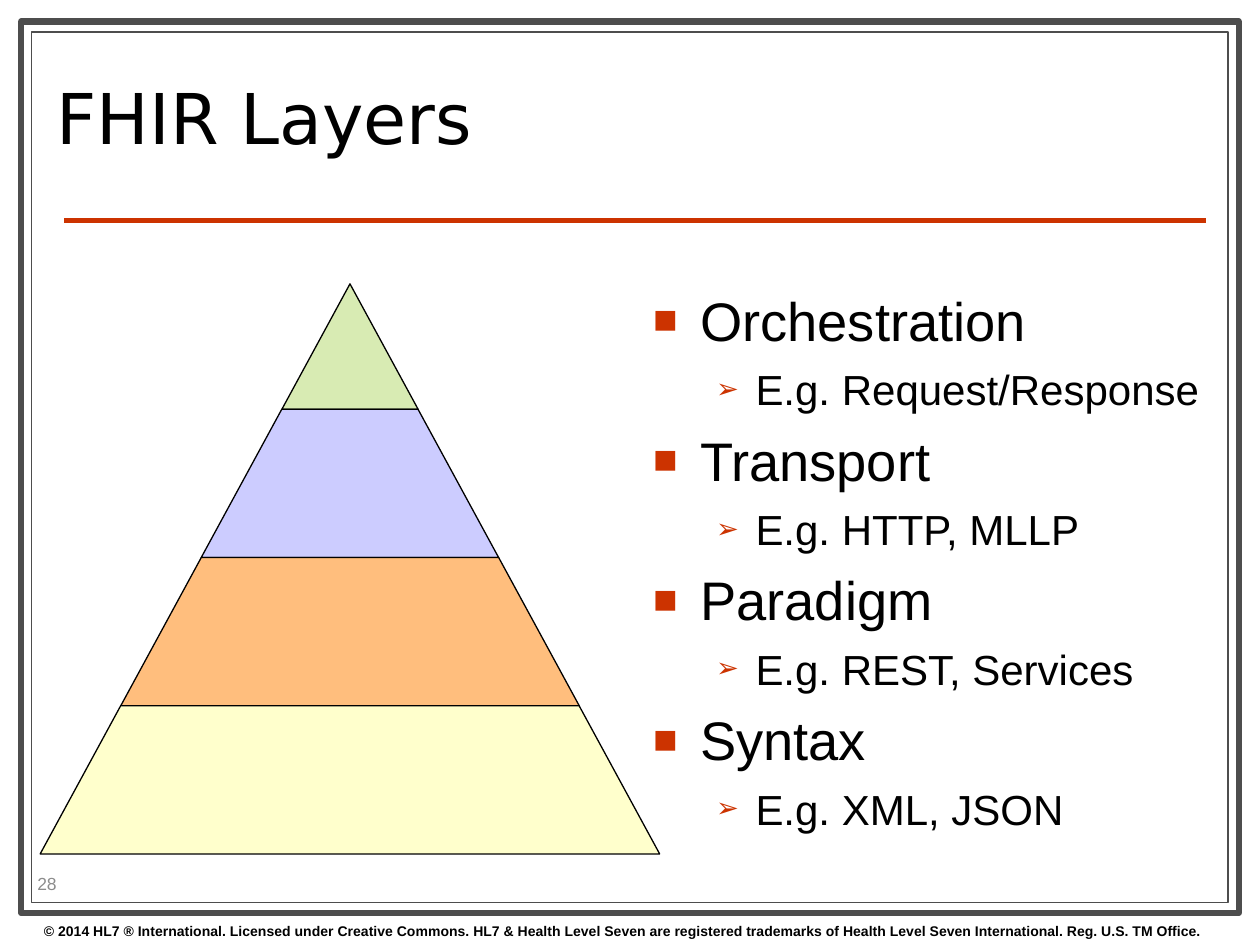
from itertools import pairwise

from lxml.etree import SubElement
from pptx import Presentation
from pptx.dml.color import RGBColor
from pptx.enum.shapes import MSO_CONNECTOR as LINK, MSO_SHAPE as SHAPE
from pptx.enum.text import MSO_ANCHOR as ANCHOR, MSO_AUTO_SIZE as FIT, PP_ALIGN as ALIGN
from pptx.oxml.ns import qn
from pptx.util import Pt

DARK, RED, BLACK = "4D4D4D", "CC3300", "000000"
LEGAL = ("© 2014 HL7 ® International. Licensed under Creative Commons. "
         "HL7 & Health Level Seven are registered trademarks of "
         "Health Level Seven International. Reg. U.S. TM Office.")
LAYERS = [("Orchestration", "E.g. Request/Response"),
          ("Transport", "E.g. HTTP, MLLP"),
          ("Paradigm", "E.g. REST, Services"),
          ("Syntax", "E.g. XML, JSON")]
# Per list level: bullet, bullet size %, left margin, indent, font size, space before
LEVELS = [("■", 75, 27, -27, 31, 7.4), ("➢", 65, 58.5, -22.5, 24, 6.5)]
FILLS = ["D8EBB3", "CCCCFF", "FFBE7D", "FFFFCC"]
CUTS = [0, 0.22, 0.48, 0.74, 1]  # layer edges as shares of the height


def paint(part, code):
    """Colour a fill or a font."""
    if hasattr(part, "solid"):
        part.solid()
        part.fore_color.rgb = RGBColor.from_string(code)
    else:
        part.color.rgb = RGBColor.from_string(code)


def style(para, size, code=BLACK, face="Arial", bold=False):
    font = para.font
    font.size, font.name, font.bold = Pt(size), face, bold
    paint(font, code)


def stroke(shape, code, width):
    paint(shape.line.fill, code)
    shape.line.width = Pt(width)


def place(shape, box):
    shape.left, shape.top, shape.width, shape.height = map(Pt, box)


def bullet(para, mark, size, left, indent):
    props = para._p.get_or_add_pPr()
    props.set("marL", str(Pt(left)))
    props.set("indent", str(Pt(indent)))
    color = SubElement(props, qn("a:buClr"))
    SubElement(color, qn("a:srgbClr"), val=RED)
    SubElement(props, qn("a:buSzPct"), val=str(size * 1000))
    SubElement(props, qn("a:buFont"), typeface="Arial")
    SubElement(props, qn("a:buChar"), char=mark)


def label(slide, box, text, size, code, bold=False, wrap=True):
    shape = slide.shapes.add_textbox(*map(Pt, box))
    frame = shape.text_frame
    frame.word_wrap = wrap
    frame.vertical_anchor = ANCHOR.MIDDLE
    frame.text = text
    style(frame.paragraphs[0], size, code, bold=bold)


def add_frame(slide, box):
    """Double border around the slide, with the rule under the title."""
    x, y, w, h = box
    for gap, width in [(0, 3.5), (6, 0.75)]:
        area = x + gap, y + gap, w - 2 * gap, h - 2 * gap
        edge = slide.shapes.add_shape(SHAPE.RECTANGLE, *map(Pt, area))
        edge.shadow.inherit = False
        edge.fill.background()
        stroke(edge, DARK, width)
    ends = x + 24.4, y + 113.7, x + w - 18.4, y + 113.7
    rule = slide.shapes.add_connector(LINK.STRAIGHT, *map(Pt, ends))
    SubElement(rule._element.spPr, qn("a:effectLst"))
    stroke(rule, RED, 3)


def add_title(slide, box, text):
    title = slide.shapes.title
    place(title, box)
    frame = title.text_frame
    frame.text, frame.auto_size = text, FIT.NONE
    frame.vertical_anchor = ANCHOR.MIDDLE
    para = frame.paragraphs[0]
    para.alignment, para.line_spacing = ALIGN.LEFT, 0.8
    style(para, 40, face="DejaVu Sans")


def add_list(slide, box):
    body = slide.placeholders[1]
    place(body, box)
    frame = body.text_frame
    frame.auto_size, frame.margin_top = FIT.NONE, Pt(7)
    frame.text = "\n".join(text for pair in LAYERS for text in pair)
    for i, para in enumerate(frame.paragraphs):
        para.level = i % 2
        *marks, size, gap = LEVELS[para.level]
        para.space_before = Pt(gap if i else 0)
        bullet(para, *marks)
        style(para, size)


def add_pyramid(slide, box):
    """Slices of one triangle, from the tip down."""
    x, y, w, h = box
    mid = x + w / 2
    group = slide.shapes.add_group_shape()
    for (top, low), code in zip(pairwise(CUTS), FILLS):
        points = [(Pt(mid + side * cut * w / 2), Pt(y + cut * h))
                  for side, cut in [(-1, top), (1, top), (1, low), (-1, low)]]
        path = group.shapes.build_freeform(*points[0])
        path.add_line_segments(points[1:], close=True)
        layer = path.convert_to_shape()
        layer.shadow.inherit = False
        paint(layer.fill, code)
        stroke(layer, BLACK, 0.75)


def main():
    deck = Presentation()
    deck.slide_width, deck.slide_height = Pt(720), Pt(540)
    slide = deck.slides.add_slide(deck.slide_layouts[1])
    add_frame(slide, (12.2, 12.3, 695.6, 509.5))
    add_title(slide, (25.2, 26, 516, 90.5), "FHIR Layers")
    add_list(slide, (366, 157, 335, 323))
    add_pyramid(slide, (23, 162.2, 354, 325.8))
    # Page number and copyright line
    label(slide, (14.2, 496.3, 57, 17), "28", 10, "8C8C8C")
    label(slide, (18, 523.2, 720, 17), LEGAL, 8, BLACK, bold=True, wrap=False)
    deck.save("out.pptx")


if __name__ == "__main__":
    main()
